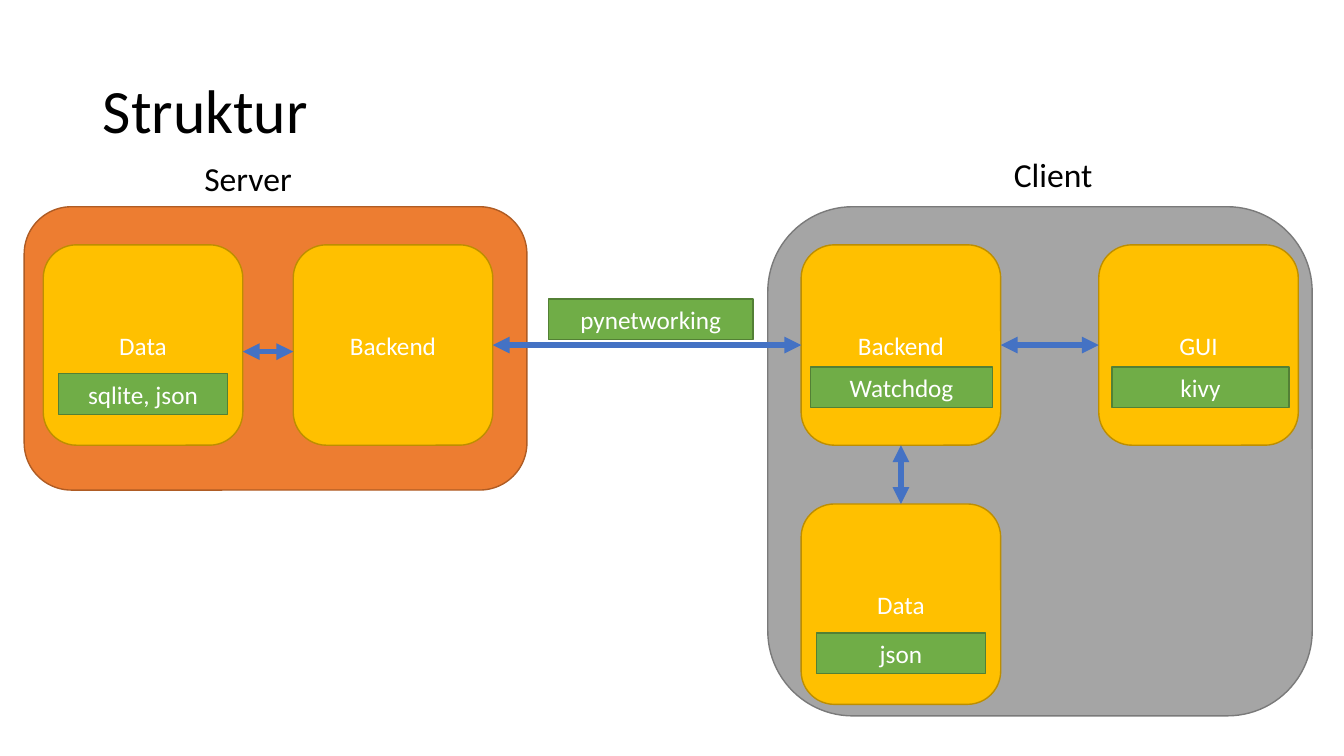
from lxml import etree
from pptx import Presentation
from pptx.dml.color import RGBColor
from pptx.enum import shapes, text
from pptx.oxml.ns import qn
from pptx.util import Cm, Pt

COLORS = {
    "server": "ED7D31", "server_edge": "AF5C24",
    "client": "A5A5A5", "client_edge": "7A7A7A",
    "module": "FFC000", "module_edge": "BD8E00",
    "tag": "70AD47", "tag_edge": "538035",
    "arrow": "4472C4", "light": "FFFFFF", "dark": "000000",
}
FONT = "Calibri"
ROUNDED = shapes.MSO_SHAPE.ROUNDED_RECTANGLE
RECTANGLE = shapes.MSO_SHAPE.RECTANGLE
MODULE_W, MODULE_H = 5.03, 5.05
TAG_H = 1.02


def color(name):
    return RGBColor.from_string(COLORS[name])


def write(frame, words, size, ink):
    frame.word_wrap = True
    paragraph = frame.paragraphs[0]
    run = paragraph.add_run()
    run.text = words
    run.font.name, run.font.size = FONT, Pt(size)
    run.font.color.rgb = color(ink)
    return paragraph


def add_box(slide, outline, kind, left, top, width, height, words=None):
    box = slide.shapes.add_shape(outline, Cm(left), Cm(top), Cm(width), Cm(height))
    box.shadow.inherit = False
    box.fill.solid()
    box.fill.fore_color.rgb = color(kind)
    box.line.color.rgb = color(kind + "_edge")
    box.line.width = Pt(1)
    if words:
        box.text_frame.vertical_anchor = text.MSO_ANCHOR.MIDDLE
        label = write(box.text_frame, words, 18, "light")
        label.alignment = text.PP_ALIGN.CENTER


def add_module(slide, words, left, top):
    add_box(slide, ROUNDED, "module", left, top, MODULE_W, MODULE_H, words)


def add_tag(slide, words, left, top, width):
    add_box(slide, RECTANGLE, "tag", left, top, width, TAG_H, words)


def add_heading(slide, words, left, top, width, height, size):
    heading = slide.shapes.add_textbox(Cm(left), Cm(top), Cm(width), Cm(height))
    return heading.text_frame, write(heading.text_frame, words, size, "dark")


def add_double_arrow(slide, x1, y1, x2, y2):
    arrow = slide.shapes.add_connector(
        shapes.MSO_CONNECTOR.STRAIGHT, Cm(x1), Cm(y1), Cm(x2), Cm(y2))
    arrow.line.color.rgb = color("arrow")
    arrow.line.width = Pt(4)
    stroke = arrow.line._get_or_add_ln()
    for end in ("a:headEnd", "a:tailEnd"):
        etree.SubElement(stroke, qn(end), type="triangle")
    etree.SubElement(arrow._element.spPr, qn("a:effectLst"))


def main():
    deck = Presentation()
    deck.slide_width, deck.slide_height = Cm(33.87), Cm(19.05)
    slide = deck.slides.add_slide(deck.slide_layouts[6])

    # Title and side headings
    title_frame, title = add_heading(slide, "Struktur", 2.34, 1.02, 29.21, 3.68, 44)
    title_frame.vertical_anchor = text.MSO_ANCHOR.MIDDLE
    title.line_spacing = 0.9
    add_heading(slide, "Server", 4.9, 3.86, 8.94, 1.27, 24)
    add_heading(slide, "Client", 25.3, 3.76, 4.8, 1.27, 24)

    # Server and client panels
    add_box(slide, ROUNDED, "server", 0.61, 5.21, 12.67, 7.14)
    add_box(slide, ROUNDED, "client", 19.35, 5.21, 13.72, 12.83)

    # Modules
    upper, lower = 6.17, 12.7
    server_data, server_backend, client_backend, gui = 1.09, 7.39, 20.19, 27.69
    for words, left, top in (
        ("Data", server_data, upper),
        ("Backend", server_backend, upper),
        ("Backend", client_backend, upper),
        ("GUI", gui, upper),
        ("Data", client_backend, lower),
    ):
        add_module(slide, words, left, top)

    # Arrows between neighbouring modules
    middle = upper + MODULE_H / 2
    for source, target, y in (
        (server_data, server_backend, 8.86),
        (server_backend, client_backend, middle),
        (client_backend, gui, middle),
    ):
        add_double_arrow(slide, source + MODULE_W, y, target, y)
    client_center = client_backend + MODULE_W / 2
    add_double_arrow(slide, client_center, lower, client_center, upper + MODULE_H)

    # Technology tags
    for words, left, top, width in (
        ("sqlite, json", 1.47, 9.42, 4.27),
        ("pynetworking", 13.82, 7.54, 5.16),
        ("Watchdog", 20.42, 9.25, 4.6),
        ("kivy", 28.02, 9.25, 4.47),
        ("json", 20.57, 15.95, 4.27),
    ):
        add_tag(slide, words, left, top, width)

    deck.save("out.pptx")


main()
